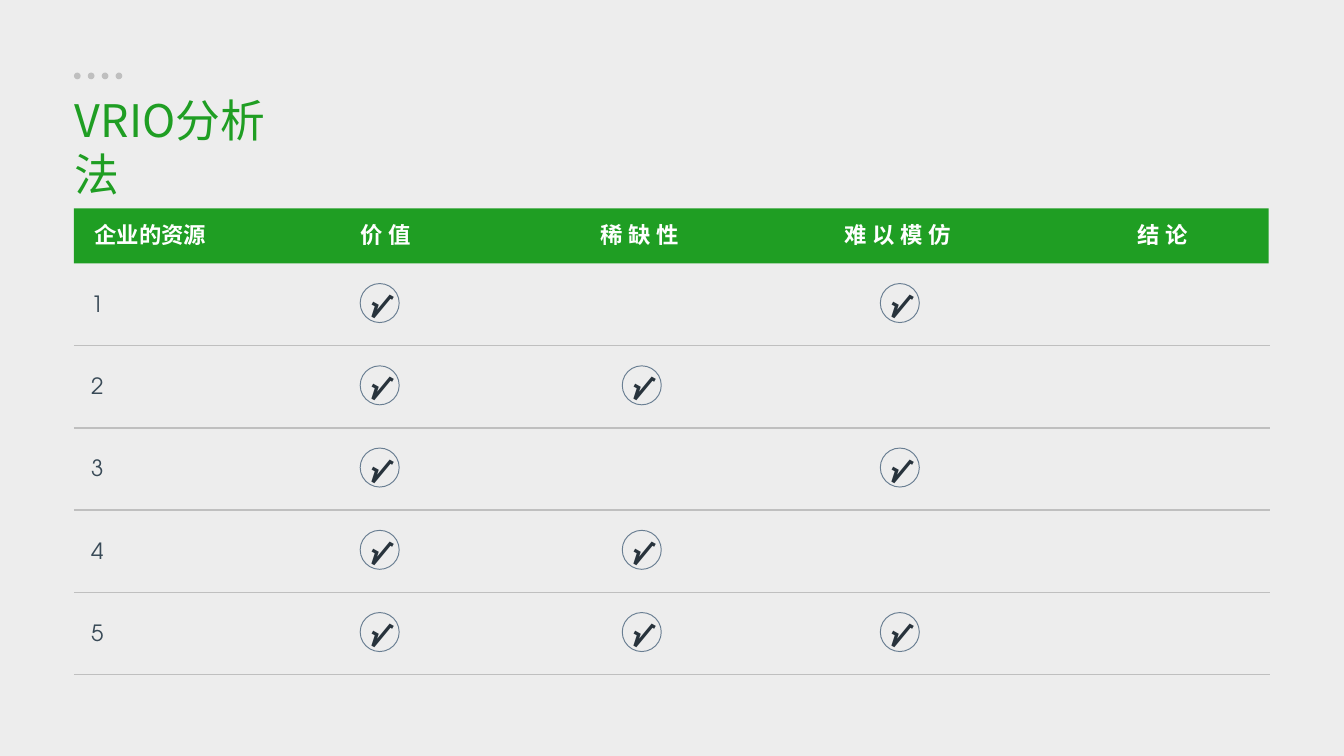
from dataclasses import dataclass

from lxml import etree
from pptx import Presentation
from pptx.dml.color import RGBColor
from pptx.enum.shapes import MSO_CONNECTOR, MSO_SHAPE
from pptx.enum.text import PP_ALIGN
from pptx.oxml.ns import qn
from pptx.util import Inches, Pt


@dataclass(frozen=True)
class Theme:
    background: str = "EDEDED"
    accent: str = "1F9E23"
    rule: str = "BFBFBF"
    ring: str = "697E92"
    check: str = "28333C"
    number: str = "394A57"
    white: str = "FFFFFF"
    chinese_font: str = "Noto Sans CJK SC"
    latin_font: str = "TeX Gyre Adventor"
    title_size: int = 24
    body_size: int = 12
    check_size: int = 14


THEME = Theme()

# Header text, header centre, letter spacing in points; lengths from the table's left
HEADERS = [
    ("企业的资源", 0.57, 0),
    ("价值", 2.32, 3),
    ("稀缺性", 4.21, 3),
    ("难以模仿", 6.13, 3),
    ("结论", 8.10, 3),
]
# Left edge of each check column, and the rows that are ticked
CHECKS = [
    (2.13, (1, 2, 3, 4, 5)),
    (4.08, (2, 4, 5)),
    (6.00, (1, 3, 5)),
]
ROW_COUNT = 5


def add_shape(slide, kind, left, top, width, height, fill=None, line=None):
    shape = slide.shapes.add_shape(
        kind, Inches(left), Inches(top), Inches(width), Inches(height))
    shape.shadow.inherit = False
    if fill:
        shape.fill.solid()
        shape.fill.fore_color.rgb = RGBColor.from_string(fill)
    else:
        shape.fill.background()
    if line:
        shape.line.color.rgb = RGBColor.from_string(line)
        shape.line.width = Pt(0.5)
    else:
        shape.line.fill.background()
    return shape


def add_text(slide, text, left, top, width, height, size, color, font_name,
             bold=False, align=PP_ALIGN.LEFT, spacing=0, wrap=False):
    box = slide.shapes.add_textbox(
        Inches(left), Inches(top), Inches(width), Inches(height))
    box.text_frame.word_wrap = wrap
    paragraph = box.text_frame.paragraphs[0]
    paragraph.text = text
    paragraph.alignment = align
    font = paragraph.font
    font.size = Pt(size)
    font.bold = bold
    font.color.rgb = RGBColor.from_string(color)
    font.name = font_name
    # East Asian font and letter spacing
    properties = paragraph._p.pPr.find(qn("a:defRPr"))
    etree.SubElement(properties, qn("a:ea")).set("typeface", font_name)
    if spacing:
        properties.set("spc", str(spacing * 100))
    return box


def add_rule(slide, left, top, width):
    rule = slide.shapes.add_connector(
        MSO_CONNECTOR.STRAIGHT, Inches(left), Inches(top),
        Inches(left + width), Inches(top))
    rule.line.color.rgb = RGBColor.from_string(THEME.rule)
    rule.line.width = Pt(0.75)
    etree.SubElement(rule._element.spPr, qn("a:effectLst"))


def add_check(slide, left, top):
    add_shape(slide, MSO_SHAPE.OVAL, left, top, 0.29, 0.29, line=THEME.ring)
    mark = add_text(slide, "√", left - 0.02, top - 0.02, 0.31, 0.34,
                    THEME.check_size, THEME.check, THEME.latin_font, bold=True)
    mark.rotation = 29.2


def add_title(slide, left, top, width, height):
    # Row of dots above the title
    for index in range(4):
        add_shape(slide, MSO_SHAPE.OVAL, left + 0.09 + index * 0.31 / 3, top,
                  0.05, 0.05, fill=THEME.rule)
    add_text(slide, "VRIO分析法", left, top + 0.1, width, height - 0.1,
             THEME.title_size, THEME.accent, THEME.chinese_font, wrap=True)


def add_resource_table(slide, left, top, width, height):
    # Header band
    header_height = 0.41
    add_shape(slide, MSO_SHAPE.RECTANGLE, left, top, width, header_height,
              fill=THEME.accent)
    for text, center, spacing in HEADERS:
        text_width = 0.2 + len(text) * (THEME.body_size + spacing) / 72
        add_text(slide, text, left + center - text_width / 2, top + 0.05,
                 text_width, 0.3, THEME.body_size, THEME.white,
                 THEME.chinese_font, bold=True, align=PP_ALIGN.CENTER,
                 spacing=spacing)

    # Numbered rows with their rules and checks
    row_height = (height - header_height) / ROW_COUNT
    for number in range(1, ROW_COUNT + 1):
        row_top = top + header_height + (number - 1) * row_height
        add_text(slide, str(number), left + 0.03, row_top + 0.15, 0.29, 0.3,
                 THEME.body_size, THEME.number, THEME.latin_font)
        add_rule(slide, left, row_top + row_height, width + 0.01)
        for check_left, ticked_rows in CHECKS:
            if number in ticked_rows:
                add_check(slide, left + check_left, row_top + 0.15)


def main():
    presentation = Presentation()
    # Widescreen page, 16 by 9
    presentation.slide_width = Inches(10)
    presentation.slide_height = Inches(10 * 9 / 16)
    slide = presentation.slides.add_slide(presentation.slide_layouts[6])
    slide.background.fill.solid()
    slide.background.fill.fore_color.rgb = RGBColor.from_string(THEME.background)
    add_title(slide, 0.46, 0.54, 1.93, 0.6)
    add_resource_table(slide, 0.55, 1.55, 8.89, 3.47)
    presentation.save("out.pptx")


if __name__ == "__main__":
    main()
